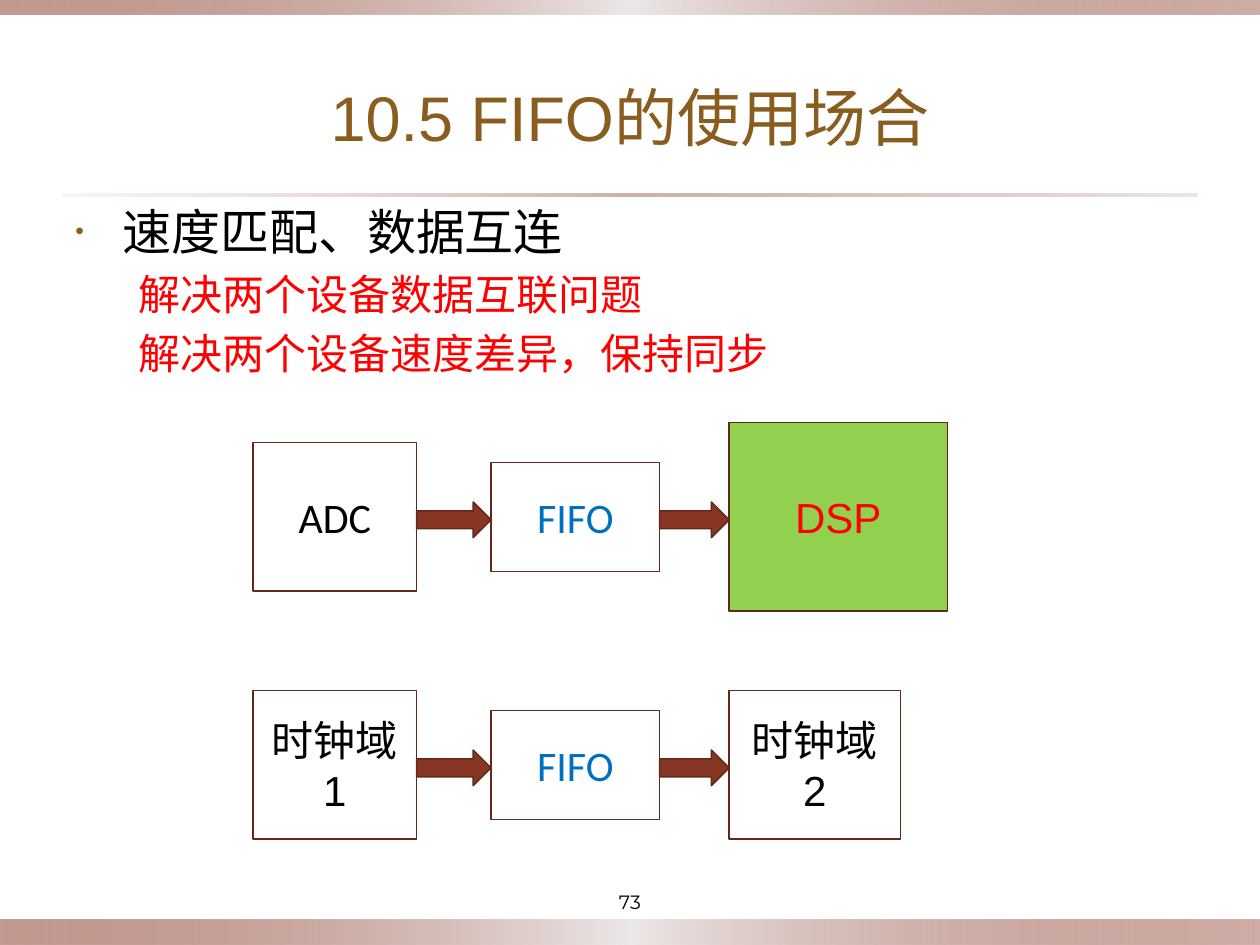
from pptx import Presentation
from pptx.dml.color import RGBColor
from pptx.enum.shapes import MSO_SHAPE as Preset
from pptx.enum.text import MSO_ANCHOR as Anchor, PP_ALIGN as Align
from pptx.oxml import parse_xml
from pptx.oxml.ns import nsdecls
from pptx.util import Cm, Pt

COLORS = {
    "brown": "873624", "edge": "64281B", "mist": "EDE8E8", "haze": "D9CECD",
    "gold": "895D1D", "black": "000000", "white": "FFFFFF",
    "red": "FF0000", "blue": "0070C0", "green": "92D050",
}
BAND_STOPS = [(0, "brown", 50), (50, "mist", 100), (100, "brown", 40)]
RULE_STOPS = [(0, "haze", 20), (50, "brown", 40), (100, "haze", 50)]
ADC_X, FIFO_X, SINK_X = 5.1, 9.9, 14.7
SOURCE_SIZE, FIFO_SIZE = (3.3, 3), (3.4, 2.2)
ARROW_HEIGHT = 0.72


def rgb(name):
    """Return the palette colour with this name."""
    return RGBColor.from_string(COLORS[name])


def add_preset(page, preset, place, fill=None):
    """Add a preset shape, with fill and thin edge when a fill is named."""
    shape = page.shapes.add_shape(preset, *map(Cm, place))
    shape.shadow.inherit = False
    if fill:
        shape.fill.solid()
        shape.fill.fore_color.rgb = rgb(fill)
        shape.line.color.rgb = rgb("edge")
        shape.line.width = Pt(0.85)
    return shape


def add_gradient_bar(page, place, stops):
    """Add a borderless bar with a horizontal see-through gradient."""
    bar = add_preset(page, Preset.RECTANGLE, place)
    bar.line.fill.background()
    stop_xml = "".join(
        f'<a:gs pos="{at * 1000}"><a:srgbClr val="{COLORS[name]}">'
        f'<a:alpha val="{alpha * 1000}"/></a:srgbClr></a:gs>'
        for at, name, alpha in stops)
    gradient = parse_xml(
        f'<a:gradFill {nsdecls("a")} rotWithShape="1"><a:gsLst>{stop_xml}</a:gsLst>'
        '<a:lin ang="0" scaled="0"/></a:gradFill>')
    bar.element.spPr.find(gradient.tag.replace("gradFill", "prstGeom")).addnext(gradient)


def write_para(para, text, size, color, name="Arial", **formats):
    """Write one styled span into a paragraph."""
    for key, value in formats.items():
        setattr(para, key, value)
    span = para.add_run()
    span.text = text
    values = {"size": Pt(size), "name": name}
    for key, value in values.items():
        setattr(span.font, key, value)
    span.font.color.rgb = rgb(color)


def add_text(page, place, anchor=Anchor.TOP):
    """Add an empty wrapping text box and return its frame."""
    frame = page.shapes.add_textbox(*map(Cm, place)).text_frame
    frame.word_wrap = True
    frame.vertical_anchor = anchor
    return frame


def add_bullet(para):
    """Give a paragraph a hanging half-size gold bullet."""
    props = para._p.get_or_add_pPr()
    props.set("marL", str(Cm(0.95)))
    props.set("indent", str(-Cm(0.95)))
    for body in (f'buClr {nsdecls("a")}><a:srgbClr val="{COLORS["gold"]}"/></a:buClr',
                 f'buSzPct {nsdecls("a")} val="50000"/',
                 f'buFont {nsdecls("a")} typeface="Arial"/',
                 f'buChar {nsdecls("a")} char="•"/'):
        props.append(parse_xml(f"<a:{body}>"))


def add_block(page, left, middle, size, lines, fill="white", color="black", font="Arial"):
    """Add a labelled block centred on the row's middle line."""
    width, height = size
    block = add_preset(page, Preset.RECTANGLE,
                       (left, middle - height / 2, width, height), fill)
    frame = block.text_frame
    frame.vertical_anchor = Anchor.MIDDLE
    for index, line in enumerate(lines):
        para = frame.add_paragraph() if index else frame.paragraphs[0]
        write_para(para, line, 24, color, font, alignment=Align.CENTER)


def add_flow(page, middle, source, sink):
    """Add a row: source block, FIFO, sink block and the arrows between."""
    add_block(page, ADC_X, middle, SOURCE_SIZE, **source)
    add_block(page, FIFO_X, middle, FIFO_SIZE, ["FIFO"], color="blue", font="Calibri")
    add_block(page, SINK_X, middle, **sink)
    for start, end in ((ADC_X + SOURCE_SIZE[0], FIFO_X), (FIFO_X + FIFO_SIZE[0], SINK_X)):
        add_preset(page, Preset.RIGHT_ARROW,
                   (start, middle - 0.3, end - start, ARROW_HEIGHT), "brown")


def add_body(page):
    """Add the bulleted heading and its two red lines."""
    frame = add_text(page, (1.27, 3.94, 22.86, 4.47))
    heading = frame.paragraphs[0]
    add_bullet(heading)
    write_para(heading, "速度匹配、数据互连", 28, "black")
    for line in ("解决两个设备数据互联问题", "解决两个设备速度差异，保持同步"):
        para = frame.add_paragraph()
        para._p.get_or_add_pPr().set("marL", str(Cm(1.27)))
        write_para(para, line, 24, "red", space_before=Pt(4.8))


def main():
    """Build the slide and save it."""
    deck = Presentation()
    deck.slide_width, deck.slide_height = Cm(25.4), Cm(19.05)
    page = deck.slides.add_slide(deck.slide_layouts[6])

    add_gradient_bar(page, (0, 18.54, 25.4, 0.51), BAND_STOPS)
    add_gradient_bar(page, (0, 0, 25.4, 0.3), BAND_STOPS)
    add_gradient_bar(page, (1.27, 3.91, 22.86, 0.05), RULE_STOPS)

    number = add_text(page, (11.43, 17.78, 2.54, 0.79), Anchor.MIDDLE)
    write_para(number.paragraphs[0], "73", 11, "black", "Montserrat", alignment=Align.CENTER)
    title = add_text(page, (1.27, 0.76, 22.86, 3.18), Anchor.MIDDLE)
    write_para(title.paragraphs[0], "10.5 FIFO的使用场合", 36, "gold", alignment=Align.CENTER)
    add_body(page)

    add_flow(page, 10.42, {"lines": ["ADC"], "font": "Calibri"},
             {"lines": ["DSP"], "size": (4.4, 3.8), "fill": "green", "color": "red"})
    add_flow(page, 15.42, {"lines": ["时钟域", "1"]},
             {"lines": ["时钟域", "2"], "size": (3.45, 3)})
    deck.save("out.pptx")


if __name__ == "__main__":
    main()
